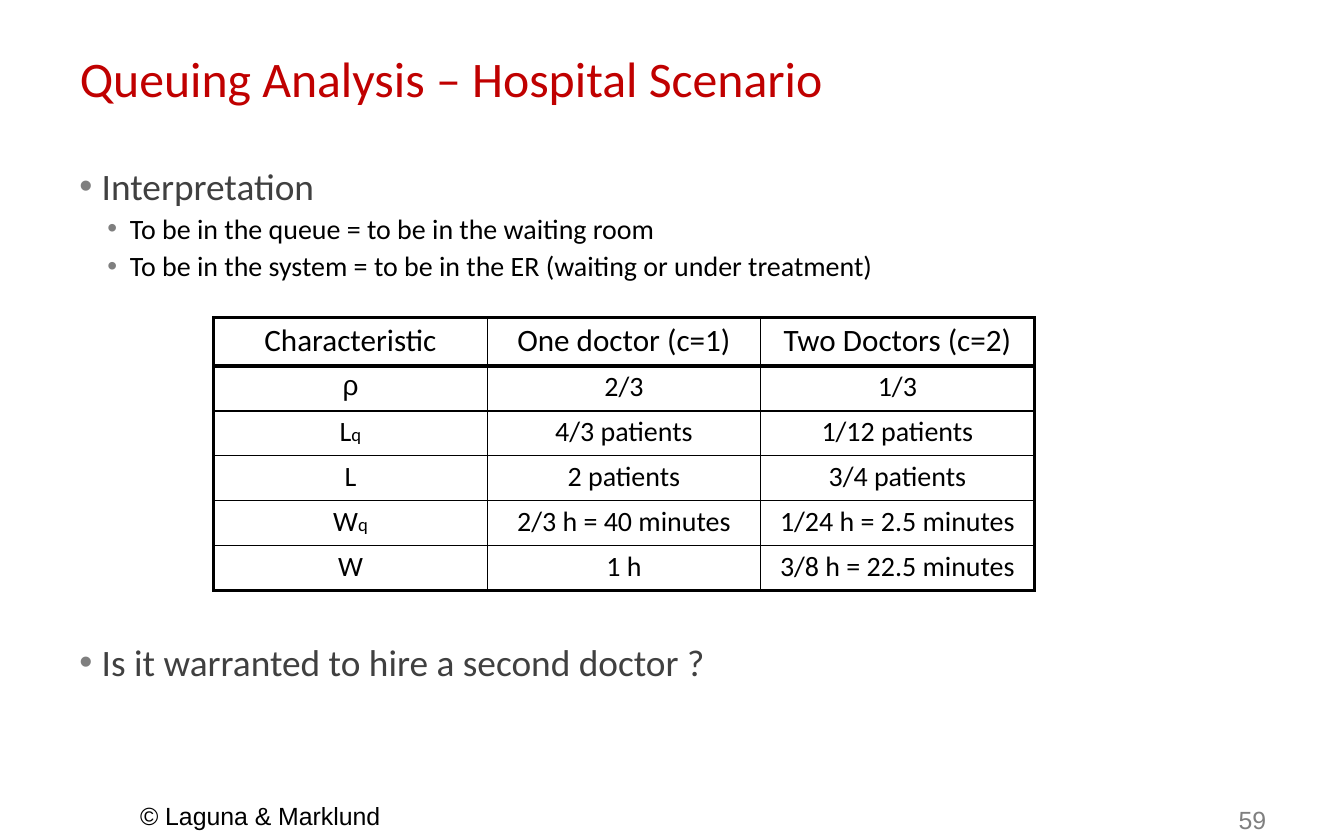
from lxml.etree import SubElement
from pptx import Presentation
from pptx.dml.color import RGBColor
from pptx.enum.text import MSO_ANCHOR, MSO_AUTO_SIZE, PP_ALIGN
from pptx.oxml.ns import qn
from pptx.util import Cm, Pt

BLACK = RGBColor(0x00, 0x00, 0x00)
RED = RGBColor(0xC0, 0x00, 0x00)
DARK_GREY = RGBColor(0x40, 0x40, 0x40)
GREY = RGBColor(0x7F, 0x7F, 0x7F)

THICK, THIN = Pt(2.25), Pt(1)
HEADER_HEIGHT, ROW_HEIGHT = Cm(1.1), Cm(1.02)

INTERPRETATION = [
    ("Interpretation", 0, 3.9),
    ("To be in the queue = to be in the waiting room", 1, 2.1),
    ("To be in the system = to be in the ER (waiting or under treatment)", 1, 2.4),
]
QUESTION = [("Is it warranted to hire a second doctor ?", 0, 1)]
CHARACTERISTICS = [
    ("Characteristic", "One doctor (c=1)", "Two Doctors (c=2)"),
    ("ρ", "2/3", "1/3"),
    ("Lq", "4/3 patients", "1/12 patients"),
    ("L", "2 patients", "3/4 patients"),
    ("Wq", "2/3 h = 40 minutes", "1/24 h = 2.5 minutes"),
    ("W", "1 h", "3/8 h = 22.5 minutes"),
]


def write(paragraph, text, size=18, color=BLACK, font="Calibri", align=PP_ALIGN.LEFT, before=0):
    """Add a formatted run of text to a paragraph."""
    paragraph.alignment = align
    paragraph.space_before = Pt(before)
    run = paragraph.add_run()
    run.text = text
    run.font.size = Pt(size)
    run.font.name = font
    run.font.bold = False
    run.font.color.rgb = color


def set_frame(frame, top=0):
    """Give a text frame its wrapping, anchor and insets."""
    frame.word_wrap = True
    frame.auto_size = MSO_AUTO_SIZE.NONE
    frame.vertical_anchor = MSO_ANCHOR.TOP
    frame.margin_left = frame.margin_right = frame.margin_bottom = 0
    frame.margin_top = top


def add_frame(slide, box, top=0):
    """Add a text box and return its text frame."""
    frame = slide.shapes.add_textbox(*box).text_frame
    set_frame(frame, top)
    return frame


def set_bullet(paragraph, level):
    """Indent a paragraph and give it a grey bullet."""
    properties = paragraph._p.get_or_add_pPr()
    properties.set("marL", str(Cm(0.53 + 0.64 * level)))
    properties.set("indent", str(-Cm(0.51)))
    color = SubElement(properties, qn("a:buClr"))
    SubElement(color, qn("a:srgbClr"), val=str(GREY))
    SubElement(properties, qn("a:buFont"), typeface="Arial")
    SubElement(properties, qn("a:buChar"), char="•")


def set_borders(cell, **widths):
    """Draw the four borders of a table cell."""
    properties = cell._tc.get_or_add_tcPr()
    for side, width in widths.items():
        line = SubElement(properties, qn(f"a:ln{side}"), w=str(width))
        fill = SubElement(line, qn("a:solidFill"))
        SubElement(fill, qn("a:srgbClr"), val=str(BLACK))


def add_title(slide, box):
    """Place the slide title."""
    title = slide.shapes.title
    title.left, title.top, title.width, title.height = box
    set_frame(title.text_frame, Cm(0.66))
    write(title.text_frame.paragraphs[0], "Queuing Analysis – Hospital Scenario",
          size=32, color=RED, before=1)


def add_bullets(slide, box, points, top):
    """Place a list of bulleted points on two levels."""
    frame = add_frame(slide, box, top)
    for index, (text, level, before) in enumerate(points):
        paragraph = frame.add_paragraph() if index else frame.paragraphs[0]
        paragraph.level = level
        write(paragraph, text, before=before,
              size=18 if level else 24, color=BLACK if level else DARK_GREY)
        set_bullet(paragraph, level)


def fill_cell(cell, text, header):
    """Write a table cell, with a small q as its index."""
    cell.margin_left = cell.margin_right = cell.margin_bottom = 0
    cell.margin_top = Cm(0.09)
    cell.vertical_anchor = MSO_ANCHOR.TOP
    cell.fill.background()
    paragraph = cell.text_frame.paragraphs[0]
    symbol = text.removesuffix("q")
    write(paragraph, symbol, size=20 if header else 18, align=PP_ALIGN.CENTER,
          font="Arial" if text == "ρ" else "Calibri", before=2.6)
    if symbol != text:
        write(paragraph, "q", size=12, align=PP_ALIGN.CENTER, before=2.6)


def add_characteristics(slide, box):
    """Place the table that compares one doctor with two."""
    last_row, last_column = len(CHARACTERISTICS) - 1, len(CHARACTERISTICS[0]) - 1
    table = slide.shapes.add_table(last_row + 1, last_column + 1, *box).table
    table.first_row = table.horz_banding = False
    for row, texts in enumerate(CHARACTERISTICS):
        table.rows[row].height = ROW_HEIGHT if row else HEADER_HEIGHT
        for column, text in enumerate(texts):
            cell = table.cell(row, column)
            set_borders(cell,
                        L=THIN if column else THICK,
                        R=THICK if column == last_column else THIN,
                        T=THICK if row <= 1 else THIN,
                        B=THICK if row in (0, last_row) else THIN)
            fill_cell(cell, text, header=row == 0)


def add_footer(slide, left, top, width):
    """Place the copyright line and the page number."""
    parts = [("© Laguna & Marklund", 0, 0, BLACK), ("59", Cm(24.93), Cm(0.1), GREY)]
    for text, across, down, color in parts:
        box = left + across, top + down, width - across, Cm(0.71)
        paragraph = add_frame(slide, box).paragraphs[0]
        paragraph.line_spacing = Pt(18.7)
        write(paragraph, text, size=16, color=color, font="Arial")


def main():
    """Build the hospital scenario slide."""
    presentation = Presentation()
    presentation.slide_width, presentation.slide_height = Cm(30.5), Cm(19.05)
    slide = presentation.slides.add_slide(presentation.slide_layouts[5])
    add_title(slide, (Cm(1.81), Cm(0.43), Cm(24.9), Cm(2.62)))
    add_bullets(slide, (Cm(1.78), Cm(3.58), Cm(20), Cm(2.87)), INTERPRETATION, Cm(0.13))
    add_characteristics(slide, (Cm(4.85), Cm(7.21), Cm(18.62), Cm(6.2)))
    add_bullets(slide, (Cm(1.78), Cm(14.48), Cm(16), Cm(1.09)), QUESTION, Cm(0.03))
    add_footer(slide, Cm(3.18), Cm(18.19), Cm(25.8))
    presentation.save("out.pptx")


if __name__ == "__main__":
    main()
